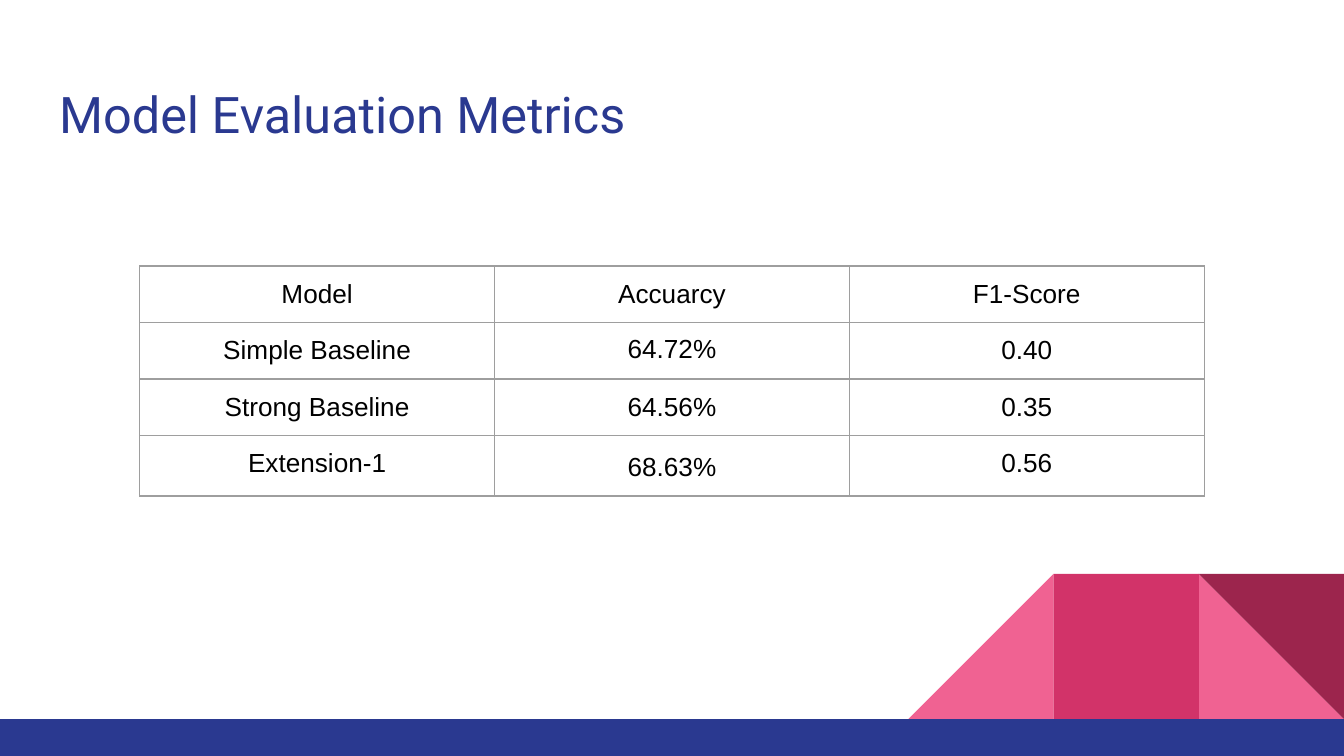
from dataclasses import dataclass

from lxml.etree import SubElement
from pptx import Presentation
from pptx.dml.color import RGBColor
from pptx.enum.shapes import MSO_SHAPE as Shape
from pptx.enum.text import MSO_ANCHOR as Anchor, MSO_AUTO_SIZE as Fit, PP_ALIGN as Align
from pptx.oxml.ns import qn
from pptx.util import Inches, Pt

WHITE = RGBColor(0xFF, 0xFF, 0xFF)
BLACK = RGBColor(0, 0, 0)
NAVY = RGBColor(0x2A, 0x39, 0x90)
PINK = RGBColor(0xF0, 0x62, 0x92)
ROSE = RGBColor(0xD2, 0x33, 0x69)
WINE = RGBColor(0x9C, 0x25, 0x4D)
GREY = RGBColor(0x9E, 0x9E, 0x9E)

WIDE = 10
HIGH = WIDE * 9 / 16
TILE = 1.08
FLOOR = 5.35
PAD = Inches(0.1)


@dataclass
class Tile:
    """A decorative tile; col counts tiles from the right edge."""
    kind: Shape
    col: int
    fill: RGBColor
    turn: int = 0
    flip: bool = False


TILES = [
    Tile(Shape.RIGHT_TRIANGLE, 1, PINK),
    Tile(Shape.RIGHT_TRIANGLE, 3, PINK, flip=True),
    Tile(Shape.RECTANGLE, 2, ROSE),
    Tile(Shape.RIGHT_TRIANGLE, 1, WINE, turn=180),
]

ROWS = [
    ("Model", "Accuarcy", "F1-Score"),
    ("Simple Baseline", "64.72%", "0.40"),
    ("Strong Baseline", "64.56%", "0.35"),
    ("Extension-1", "68.63%", "0.56"),
]
# Line spacing of single cells, by row and column
LINES = {(1, 1): 0.95, (3, 1): 1.15}


def block(slide, kind: Shape, box: tuple, fill: RGBColor):
    shape = slide.shapes.add_shape(kind, *map(Inches, box))
    shape.shadow.inherit = False
    shape.fill.solid()
    shape.fill.fore_color.rgb = fill
    shape.line.fill.background()
    return shape


def draw_tile(slide, tile: Tile) -> None:
    box = (WIDE - tile.col * TILE, FLOOR - TILE, TILE, TILE)
    shape = block(slide, tile.kind, box, tile.fill)
    shape.rotation = tile.turn
    if tile.flip:
        shape._element.spPr.find(qn("a:xfrm")).set("flipH", "1")


def style(para, font: str, size: int, color: RGBColor) -> None:
    for run in para.runs:
        run.font.name = font
        run.font.size = Pt(size)
        run.font.color.rgb = color


def frame_cell(cell) -> None:
    props = cell._tc.get_or_add_tcPr()
    for side in ("lnL", "lnR", "lnT", "lnB"):
        line = SubElement(props, qn(f"a:{side}"), w=str(Pt(0.75)))
        solid = SubElement(line, qn("a:solidFill"))
        SubElement(solid, qn("a:srgbClr"), val=str(GREY))


def draw_cell(cell, text: str, space: float | None) -> None:
    frame_cell(cell)
    cell.fill.background()
    cell.margin_left = cell.margin_right = PAD
    cell.margin_top = cell.margin_bottom = PAD
    cell.text_frame.text = text
    para = cell.text_frame.paragraphs[0]
    para.alignment = Align.CENTER
    if space:
        para.line_spacing = space
    style(para, "Arial", 14, BLACK)


def draw_table(slide) -> None:
    col, row = 2.64, 0.42
    count = len(ROWS[0])
    left = (WIDE - count * col) / 2
    box = (left, 1.98, count * col, len(ROWS) * row)
    table = slide.shapes.add_table(len(ROWS), count, *map(Inches, box)).table
    table.first_row = table.horz_banding = False
    for r, texts in enumerate(ROWS):
        for c, text in enumerate(texts):
            draw_cell(table.cell(r, c), text, LINES.get((r, c)))


def draw_title(slide, text: str) -> None:
    title = slide.shapes.title
    title.left, title.top, title.width, title.height = map(
        Inches, (0.34, 0.45, 9.32, 0.66))
    frame = title.text_frame
    frame.text = text
    frame.word_wrap = True
    frame.auto_size = Fit.NONE
    frame.vertical_anchor = Anchor.TOP
    frame.margin_left = frame.margin_right = PAD
    frame.margin_top = frame.margin_bottom = PAD
    para = frame.paragraphs[0]
    para.alignment = Align.LEFT
    para.line_spacing = 1.15
    para.space_before = Pt(0)
    style(para, "Roboto", 27, NAVY)


def main() -> None:
    deck = Presentation()
    deck.slide_width, deck.slide_height = Inches(WIDE), Inches(HIGH)
    slide = deck.slides.add_slide(deck.slide_layouts[5])
    slide.background.fill.solid()
    slide.background.fill.fore_color.rgb = WHITE

    # Corner pattern and bottom band
    for tile in TILES:
        draw_tile(slide, tile)
    block(slide, Shape.RECTANGLE, (0, FLOOR, WIDE, HIGH - FLOOR), NAVY)

    # Title and metrics
    draw_title(slide, "Model Evaluation Metrics")
    draw_table(slide)
    deck.save("out.pptx")


if __name__ == "__main__":
    main()
